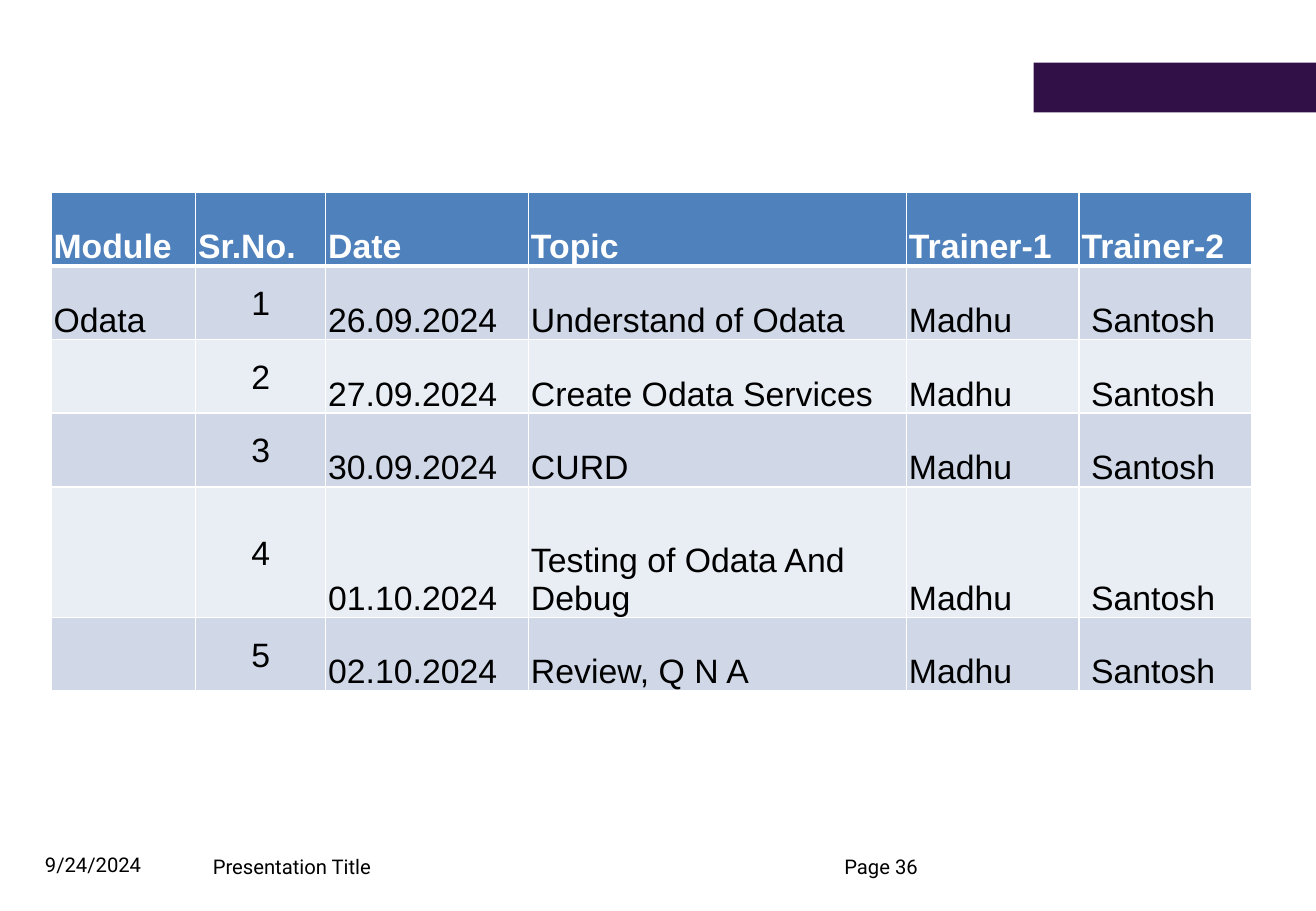
"""Build the Odata training schedule slide."""
from dataclasses import dataclass

from lxml.etree import SubElement
from pptx import Presentation
from pptx.dml.color import RGBColor as Rgb
from pptx.enum.shapes import MSO_SHAPE as Shape
from pptx.enum.text import MSO_ANCHOR as Anchor, PP_ALIGN as Align
from pptx.oxml.ns import qn
from pptx.util import Cm, Pt

HEADERS = ("Module", "Sr.No.", "Date", "Topic", "Trainer-1", "Trainer-2")
SESSIONS = (
    ("26.09.2024", "Understand of Odata"),
    ("27.09.2024", "Create Odata Services"),
    ("30.09.2024", "CURD"),
    ("01.10.2024", "Testing of Odata And Debug"),
    ("02.10.2024", "Review, Q N A"),
)
MODULE = "Odata"
TRAINERS = ("Madhu", "Santosh")
FOOTERS = (
    ("9/24/2024", (0.94, 17.55, 4.01, 0.79), Anchor.BOTTOM),
    ("Page 36", (17.65, 17.93, 3.53, 0.43), Anchor.TOP),
    ("Presentation Title", (4.45, 17.58, 4.95, 0.79), Anchor.BOTTOM),
)
ACCENT_BAR = (21.61, 1.31, 5.9, 1.04)
TABLE_ORIGIN = (1.07, 4.02)
COLUMN_WIDTHS = (3.02, 2.72, 4.24, 7.9, 3.61, 3.61)
ROW_HEIGHTS = (1.54, 1.54, 1.54, 1.54, 2.73, 1.54)
NUMBER_COLUMN, LAST_COLUMN = 1, 5
CELL_MARGIN, LAST_MARGIN = 0.05, 0.25


@dataclass(frozen=True)
class Theme:
    accent: str = "301047"
    header: str = "4F81BD"
    bands: tuple = ("D0D8E8", "E9EDF4")
    light: str = "FFFFFF"
    dark: str = "000000"
    table_font: str = "Arial"
    footer_font: str = "Roboto"
    table_size: int = 20
    footer_size: int = 12
    thin: int = 1
    thick: int = 3


THEME = Theme()


def style_font(font, name, size, color, bold=False):
    font.name, font.size, font.bold = name, Pt(size), bold
    font.color.rgb = Rgb.from_string(color)


def add_borders(cell, row):
    top = THEME.thick if row == 1 else THEME.thin
    bottom = THEME.thick if row == 0 else THEME.thin
    properties = cell._tc.get_or_add_tcPr()
    for side, width in zip("LRTB", (THEME.thin, THEME.thin, top, bottom)):
        line = SubElement(properties, qn(f"a:ln{side}"), w=str(Pt(width)))
        fill = SubElement(line, qn("a:solidFill"))
        SubElement(fill, qn("a:srgbClr"), val=THEME.light)


def format_cell(cell, row, column, text):
    is_header = row == 0
    is_number = column == NUMBER_COLUMN and not is_header
    is_inset = column == LAST_COLUMN and not is_header
    add_borders(cell, row)
    cell.fill.solid()
    color = THEME.header if is_header else THEME.bands[(row - 1) % 2]
    cell.fill.fore_color.rgb = Rgb.from_string(color)
    cell.margin_left = Cm(LAST_MARGIN if is_inset else CELL_MARGIN)
    cell.margin_top = cell.margin_right = Cm(CELL_MARGIN)
    cell.margin_bottom = 0
    cell.vertical_anchor = Anchor.MIDDLE if is_number else Anchor.BOTTOM
    cell.text = text
    paragraph = cell.text_frame.paragraphs[0]
    paragraph.alignment = Align.CENTER if is_number else Align.LEFT
    style_font(paragraph.font, THEME.table_font, THEME.table_size,
               THEME.light if is_header else THEME.dark, is_header)


def add_schedule(slide):
    rows = [HEADERS] + [
        (MODULE if number == 1 else "", str(number), *session, *TRAINERS)
        for number, session in enumerate(SESSIONS, 1)
    ]
    box = (*TABLE_ORIGIN, sum(COLUMN_WIDTHS), sum(ROW_HEIGHTS))
    table = slide.shapes.add_table(len(rows), len(HEADERS), *map(Cm, box)).table
    for column, width in zip(table.columns, COLUMN_WIDTHS):
        column.width = Cm(width)
    for row, height in zip(table.rows, ROW_HEIGHTS):
        row.height = Cm(height)
    for row, values in enumerate(rows):
        for column, text in enumerate(values):
            format_cell(table.cell(row, column), row, column, text)


def add_footer(slide, text, box, anchor):
    frame = slide.shapes.add_textbox(*map(Cm, box)).text_frame
    frame.margin_left = frame.margin_right = 0
    frame.margin_top = frame.margin_bottom = 0
    frame.word_wrap = True
    frame.vertical_anchor = anchor
    paragraph = frame.paragraphs[0]
    paragraph.text = text
    paragraph.line_spacing = 0.9
    style_font(paragraph.font, THEME.footer_font, THEME.footer_size, THEME.dark)


def add_accent_bar(slide):
    bar = slide.shapes.add_shape(Shape.RECTANGLE, *map(Cm, ACCENT_BAR))
    bar.shadow.inherit = False
    bar.fill.solid()
    bar.fill.fore_color.rgb = Rgb.from_string(THEME.accent)
    bar.line.fill.background()


def main():
    presentation = Presentation()
    presentation.slide_width, presentation.slide_height = Cm(27.51), Cm(19.05)
    slide = presentation.slides.add_slide(presentation.slide_layouts[6])
    for footer in FOOTERS:
        add_footer(slide, *footer)
    add_accent_bar(slide)
    add_schedule(slide)
    presentation.save("out.pptx")


if __name__ == "__main__":
    main()
